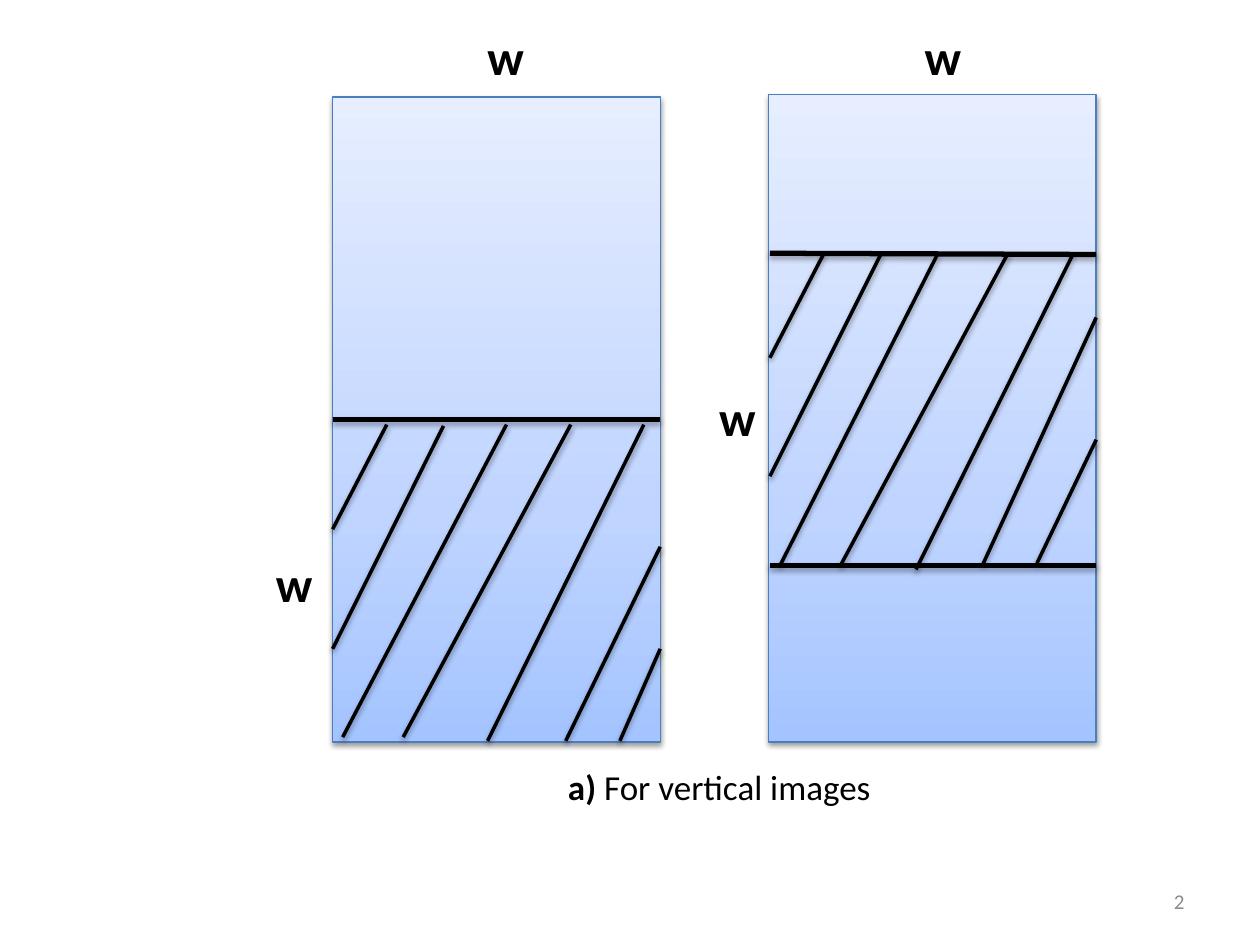
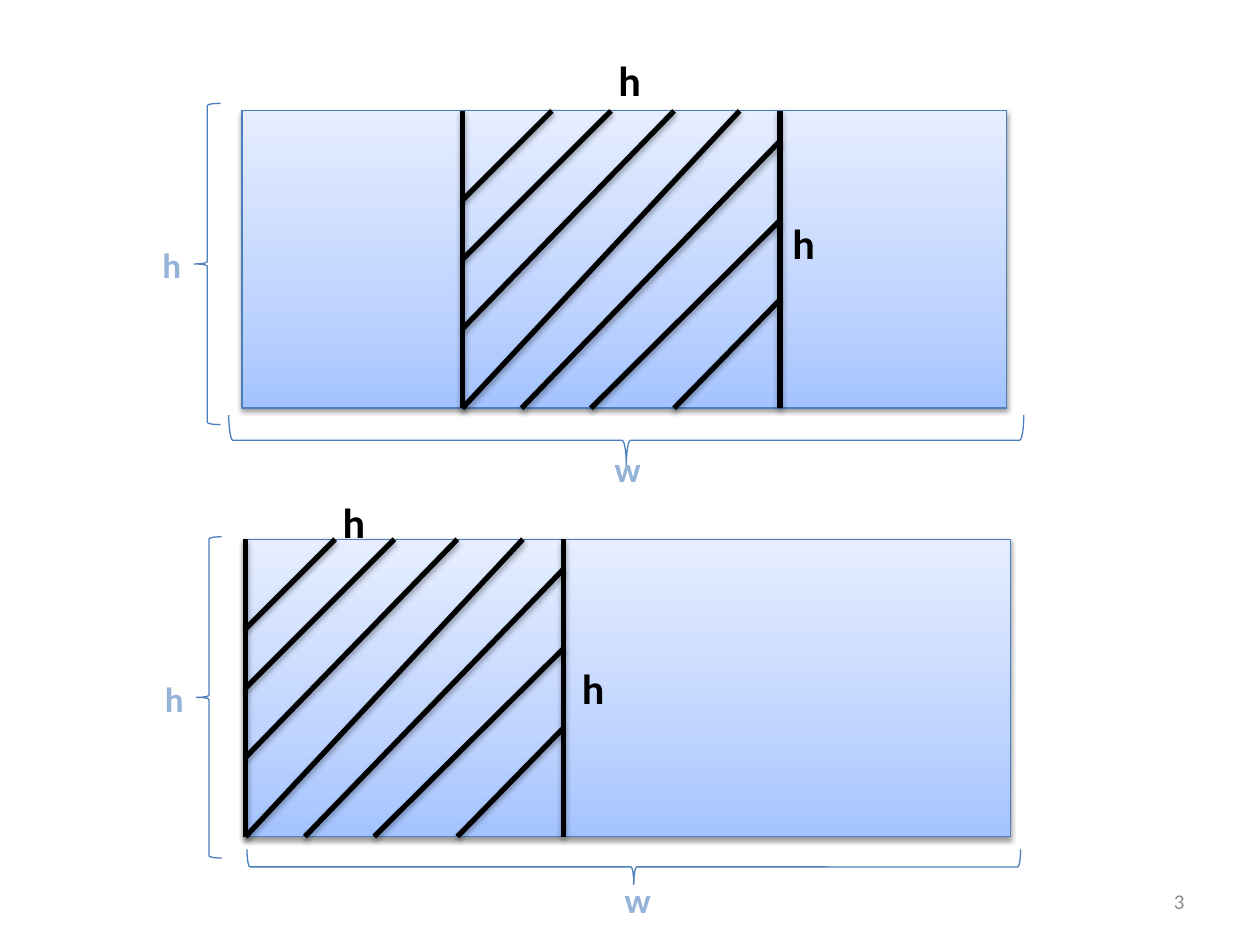
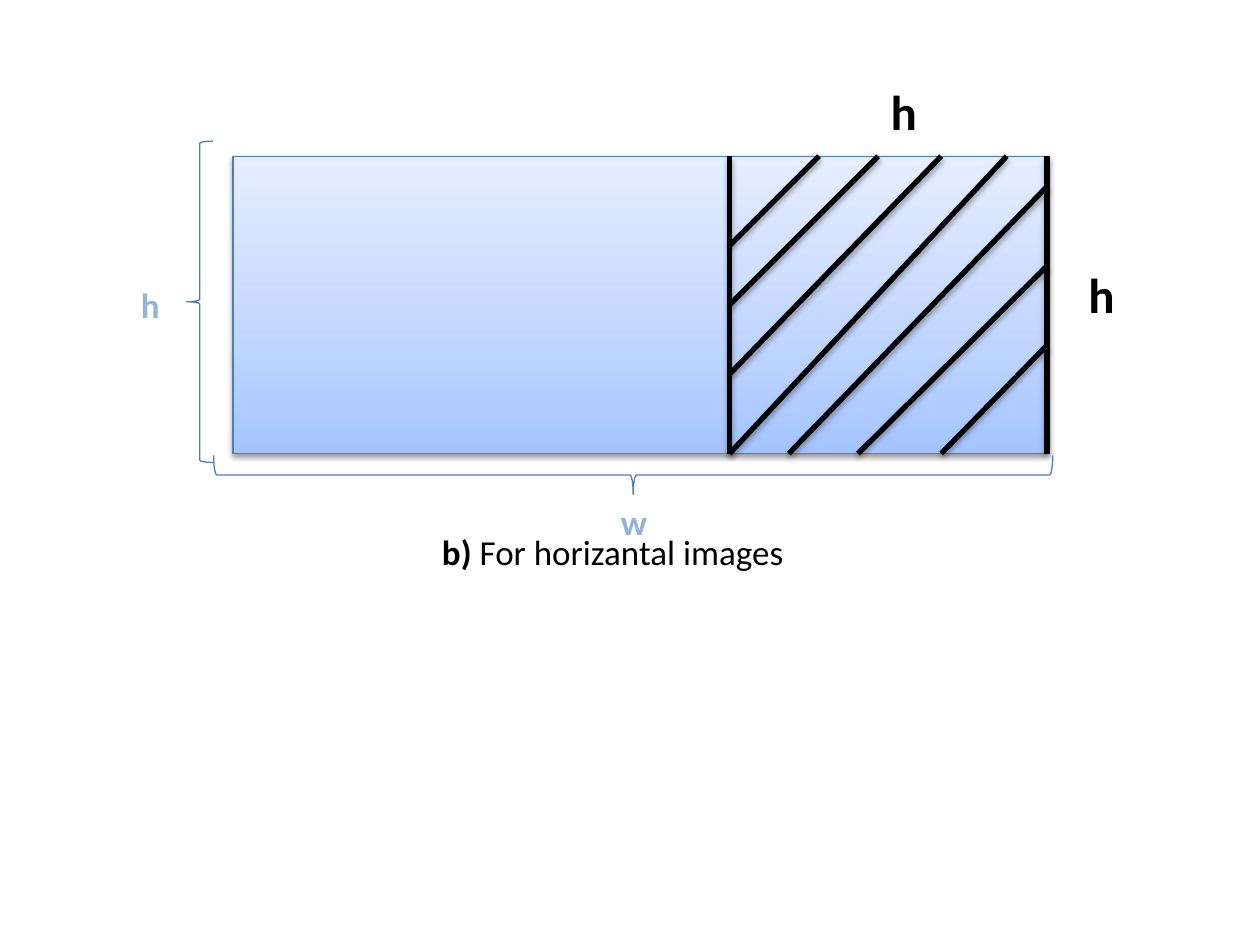
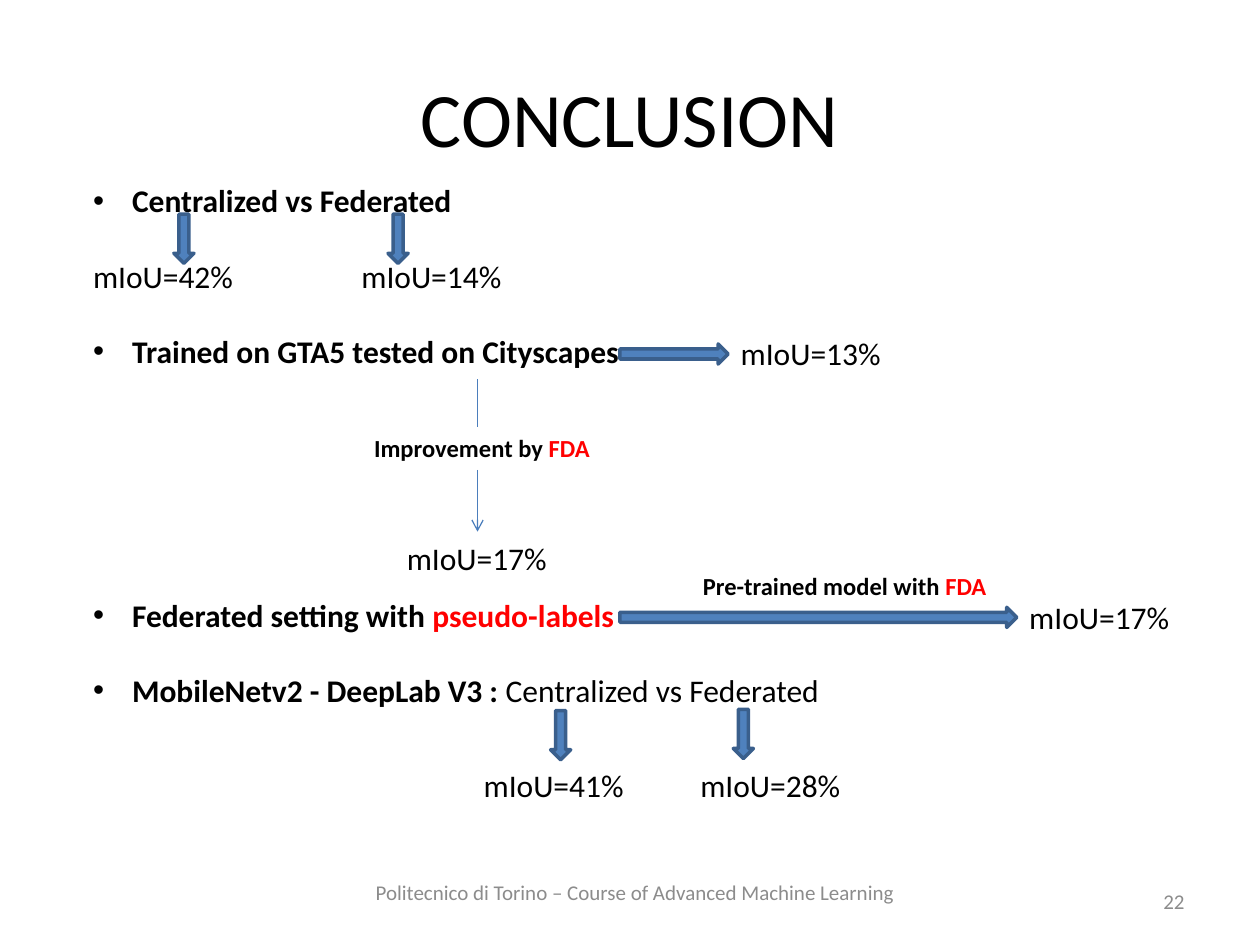
"""Build four slides: square crops of tall and wide images, and the conclusion."""
from lxml.etree import SubElement
from pptx import Presentation
from pptx.dml.color import RGBColor
from pptx.enum.shapes import MSO_CONNECTOR, MSO_SHAPE
from pptx.enum.text import MSO_ANCHOR, MSO_AUTO_SIZE, PP_ALIGN
from pptx.oxml.ns import qn
from pptx.util import Pt

PX = 9144
SLIDE_SIZE = (1000, 750)
FONT = "Calibri"
BLACK = RGBColor(0x00, 0x00, 0x00)
RED = RGBColor(0xFF, 0x00, 0x00)
GREY = RGBColor(0x8C, 0x8C, 0x8C)
OUTLINE = RGBColor(0x4B, 0x7E, 0xBC)
PALE_BLUE = RGBColor(0x95, 0xB3, 0xD7)
ARROW_FILL = RGBColor(0x4F, 0x81, 0xBD)
ARROW_EDGE = RGBColor(0x3A, 0x5F, 0x8C)
IMAGE_GRADIENT = [
    (0, RGBColor(0xA4, 0xC4, 0xFF)),
    (35, RGBColor(0xBF, 0xD4, 0xFF)),
    (100, RGBColor(0xE6, 0xEE, 0xFF)),
]
SOFT_SHADOW = (20000, 38)
STRONG_SHADOW = (23000, 35)

PAGE_NUMBER_FRAME = (717, 695, 233, 40)
FOOTER_FRAME = (287, 688, 434, 40)
LABEL_SIZES = {
    ("w", 28): (49, 57), ("h", 28): (41, 57), ("h", 24): (38, 50),
    ("w", 20): (41, 44), ("h", 20): (35, 44),
}

WIDE_EDGES = [(0, 0, 0, 236), (252, 0, 252, 236)]
WIDE_HATCH = [
    (71, 0, 0, 71), (118, 0, 0, 118), (168, 0, 0, 173), (220, 0, 0, 236),
    (252, 24, 47, 236), (252, 87, 102, 236), (252, 150, 168, 236),
]
BOTTOM_EDGES = [(0, 0, 260, 0)]
BOTTOM_HATCH = [
    (43, 4, 0, 87), (88, 5, 0, 182), (138, 4, 8, 252), (189, 4, 56, 252),
    (247, 4, 123, 255), (260, 101, 185, 255), (260, 182, 228, 255),
]
MIDDLE_EDGES = [(0, 0, 259, 1), (0, 248, 259, 248)]
MIDDLE_HATCH = [
    (43, 0, 0, 83), (88, 1, 0, 177), (133, 1, 8, 248), (189, 0, 56, 248),
    (241, 0, 116, 251), (259, 51, 169, 247), (259, 148, 212, 246),
]

CROP_SLIDES = [
    {
        "page": "2",
        "images": [(264, 77, 260, 512), (610, 75, 260, 514)],
        "crops": [
            ((264, 333), BOTTOM_EDGES, BOTTOM_HATCH, 2),
            ((611, 201), MIDDLE_EDGES, MIDDLE_HATCH, 2),
        ],
        "labels": [("w", 28, 377, 16), ("w", 28, 724, 16),
                   ("w", 28, 209, 434), ("w", 28, 561, 303)],
        "caption": ((441, 603, 263, 44), "a) ", "For vertical images"),
    },
    {
        "page": "3",
        "images": [(194, 428, 608, 236), (192, 88, 607, 236)],
        "crops": [
            ((367, 88), WIDE_EDGES, WIDE_HATCH, 3),
            ((195, 428), WIDE_EDGES, WIDE_HATCH, 3),
        ],
        "labels": [("h", 24, 619, 168), ("h", 24, 481, 38),
                   ("h", 24, 452, 521), ("h", 24, 262, 389)],
        "width_braces": [(477, 34, 40, 631), (489, 381, 28, 614)],
        "height_braces": [(154, 82, 21, 255), (156, 426, 20, 255)],
        "side_labels": [("w", 20, 478, 350), ("h", 20, 119, 188),
                        ("h", 20, 121, 533), ("w", 20, 486, 692)],
    },
    {
        "images": [(185, 124, 646, 236)],
        "crops": [((579, 124), WIDE_EDGES, WIDE_HATCH, 3)],
        "labels": [("h", 28, 854, 205), ("h", 28, 697, 60)],
        "width_braces": [(487, 44, 31, 666)],
        "height_braces": [(148, 112, 21, 255)],
        "side_labels": [("w", 20, 483, 392), ("h", 20, 102, 220)],
        "caption": ((341, 416, 294, 44), "b) ", "For horizantal images"),
    },
]

CONCLUSION_PAGE = "22"
CONCLUSION_TITLE = "CONCLUSION"
FOOTER = "Politecnico di Torino – Course of Advanced Machine Learning"
FINDINGS_FRAME = (64, 139, 720, 464)
FINDINGS_LINE = 21.5
FINDINGS_INDENT = 31
SCORE_TAB = 213
FINDINGS = [
    (0, True, [("Centralized vs Federated", True, BLACK)]),
    (1, False, [("mIoU=42%\tmIoU=14%", False, BLACK)]),
    (1, True, [("Trained on GTA5 tested on Cityscapes", True, BLACK)]),
    (6, True, [("Federated setting with ", True, BLACK), ("pseudo-labels", True, RED)]),
    (1, True, [("MobileNetv2 - DeepLab V3 : ", True, BLACK),
               ("Centralized vs Federated", False, BLACK)]),
]
SCORES = [
    ("mIoU=13%", (578, 260, 132, 40)),
    ("mIoU=17%", (313, 423, 132, 40)),
    ("mIoU=17%", (807, 470, 132, 40)),
    ("mIoU=41%", (374, 603, 132, 40)),
    ("mIoU=28%", (546, 603, 138, 40)),
]
FDA_NOTES = [
    ("Improvement by ", (287, 339, 192, 34)),
    ("Pre-trained model with ", (548, 448, 247, 34)),
]
DOWN_ARROWS = [(138, 170), (308, 170), (437, 564), (582, 563)]
DOWN_ARROW_SIZE = (16, 39)
RIGHT_ARROWS = [(492, 273, 86, 16), (492, 482, 315, 16)]
FDA_PATH = [(379, 301, 379, 339), (379, 373, 379, 422)]


def emu(lengths):
    return [length * PX for length in lengths]


def add_runs(paragraph, runs, size):
    for text, bold, color in runs:
        run = paragraph.add_run()
        run.text = text
        run.font.name = FONT
        run.font.size = Pt(size)
        run.font.bold = bold
        run.font.color.rgb = color


def add_text(slide, frame, runs, size, align=PP_ALIGN.LEFT, fixed=False):
    text_frame = slide.shapes.add_textbox(*emu(frame)).text_frame
    text_frame.word_wrap = fixed
    if fixed:
        text_frame.vertical_anchor = MSO_ANCHOR.MIDDLE
    else:
        text_frame.auto_size = MSO_AUTO_SIZE.SHAPE_TO_FIT_TEXT
    paragraph = text_frame.paragraphs[0]
    paragraph.alignment = align
    add_runs(paragraph, runs, size)


def add_page_number(slide, number):
    add_text(slide, PAGE_NUMBER_FRAME, [(number, False, GREY)], 12, PP_ALIGN.RIGHT, True)


def add_labels(slide, labels, color):
    for text, size, left, top in labels:
        frame = (left, top, *LABEL_SIZES[text, size])
        add_text(slide, frame, [(text, True, color)], size)


def add_color(parent, color):
    return SubElement(parent, qn("a:srgbClr"), val=str(color))


def cast_shadow(effects, shadow):
    distance, opacity = shadow
    outer = SubElement(effects, qn("a:outerShdw"), blurRad="40000", dist=str(distance),
                       dir="5400000", rotWithShape="0")
    SubElement(add_color(outer, BLACK), qn("a:alpha"), val=str(opacity * 1000))


def add_outlined(slide, preset, frame, color=OUTLINE, width=0.75):
    shape = slide.shapes.add_shape(preset, *emu(frame))
    shape.shadow.inherit = False
    shape.fill.background()
    shape.line.color.rgb = color
    shape.line.width = Pt(width)
    return shape


def add_image_area(slide, frame):
    area = add_outlined(slide, MSO_SHAPE.RECTANGLE, frame)
    area.fill.gradient()
    area.fill.gradient_angle = 90
    properties = area._element.spPr
    stops = properties.find(".//" + qn("a:gsLst"))
    stops.clear()
    for position, color in IMAGE_GRADIENT:
        add_color(SubElement(stops, qn("a:gs"), pos=str(position * 1000)), color)
    cast_shadow(properties.find(qn("a:effectLst")), SOFT_SHADOW)


def add_line(slide, ends, color, width, shadow=None):
    line = slide.shapes.add_connector(MSO_CONNECTOR.STRAIGHT, *emu(ends))
    line.line.color.rgb = color
    line.line.width = Pt(width)
    effects = SubElement(line._element.spPr, qn("a:effectLst"))
    if shadow:
        cast_shadow(effects, shadow)
    return line


def add_crop(slide, origin, edges, hatch, hatch_width):
    left, top = origin
    strokes = [(ends, 3) for ends in edges] + [(ends, hatch_width) for ends in hatch]
    for (x1, y1, x2, y2), width in strokes:
        shadow = STRONG_SHADOW if width == 3 else SOFT_SHADOW
        add_line(slide, (left + x1, top + y1, left + x2, top + y2), BLACK, width, shadow)


def build_crop_slide(slide, content):
    for frame in content["images"]:
        add_image_area(slide, frame)
    for crop in content["crops"]:
        add_crop(slide, *crop)
    for frame in content.get("width_braces", []):
        add_outlined(slide, MSO_SHAPE.RIGHT_BRACE, frame).rotation = 90
    for frame in content.get("height_braces", []):
        add_outlined(slide, MSO_SHAPE.LEFT_BRACE, frame)
    add_labels(slide, content["labels"], BLACK)
    add_labels(slide, content.get("side_labels", []), PALE_BLUE)
    if "caption" in content:
        frame, letter, wording = content["caption"]
        add_text(slide, frame, [(letter, True, BLACK), (wording, False, BLACK)], 20)
    if "page" in content:
        add_page_number(slide, content["page"])


def add_findings(slide):
    text_frame = slide.shapes.add_textbox(*emu(FINDINGS_FRAME)).text_frame
    text_frame.word_wrap = True
    for index, (gap_lines, bulleted, runs) in enumerate(FINDINGS):
        paragraph = text_frame.add_paragraph() if index else text_frame.paragraphs[0]
        properties = paragraph._p.get_or_add_pPr()
        if bulleted:
            properties.set("marL", str(FINDINGS_INDENT * PX))
            properties.set("indent", str(-FINDINGS_INDENT * PX))
            SubElement(properties, qn("a:buFont"), typeface="Arial")
            SubElement(properties, qn("a:buChar"), char="•")
        else:
            tabs = SubElement(properties, qn("a:tabLst"))
            SubElement(tabs, qn("a:tab"), pos=str(SCORE_TAB * PX), algn="l")
        if gap_lines:
            paragraph.space_before = Pt(gap_lines * FINDINGS_LINE)
        add_runs(paragraph, runs, 18)


def build_conclusion(slide):
    add_text(slide, (50, 30, 900, 125), [(CONCLUSION_TITLE, False, BLACK)], 44,
             PP_ALIGN.CENTER, True)
    add_page_number(slide, CONCLUSION_PAGE)
    add_text(slide, FOOTER_FRAME, [(FOOTER, False, GREY)], 12, PP_ALIGN.CENTER, True)
    add_findings(slide)
    for score, frame in SCORES:
        add_text(slide, frame, [(score, False, BLACK)], 18)
    for note, frame in FDA_NOTES:
        add_text(slide, frame, [(note, True, BLACK), ("FDA", True, RED)], 14)
    segments = [add_line(slide, ends, OUTLINE, 0.75) for ends in FDA_PATH]
    SubElement(segments[-1].line._get_or_add_ln(), qn("a:tailEnd"), type="arrow")
    arrows = [(MSO_SHAPE.DOWN_ARROW, (*corner, *DOWN_ARROW_SIZE)) for corner in DOWN_ARROWS]
    arrows += [(MSO_SHAPE.RIGHT_ARROW, frame) for frame in RIGHT_ARROWS]
    for preset, frame in arrows:
        arrow = add_outlined(slide, preset, frame, ARROW_EDGE, 2)
        arrow.fill.solid()
        arrow.fill.fore_color.rgb = ARROW_FILL


def main():
    deck = Presentation()
    deck.slide_width, deck.slide_height = emu(SLIDE_SIZE)
    blank = deck.slide_layouts[6]
    for content in CROP_SLIDES:
        build_crop_slide(deck.slides.add_slide(blank), content)
    build_conclusion(deck.slides.add_slide(blank))
    deck.save("out.pptx")


if __name__ == "__main__":
    main()
